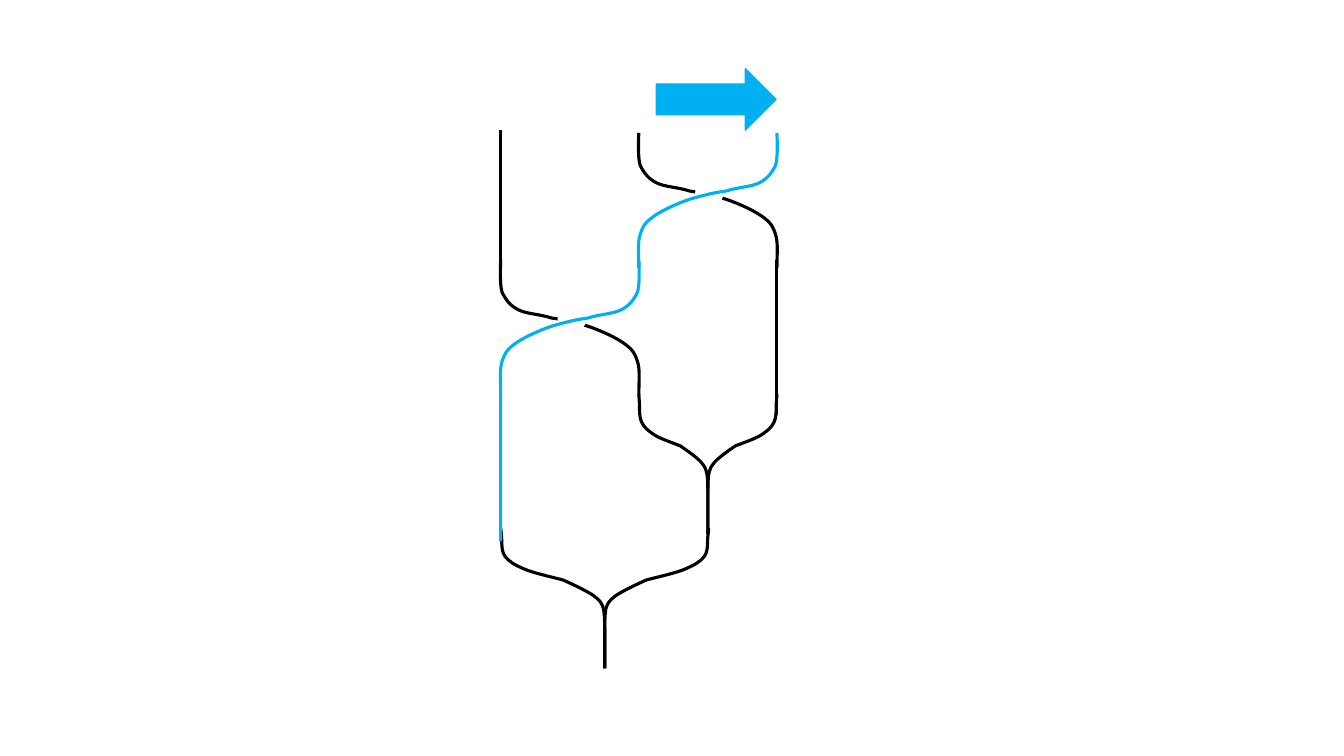
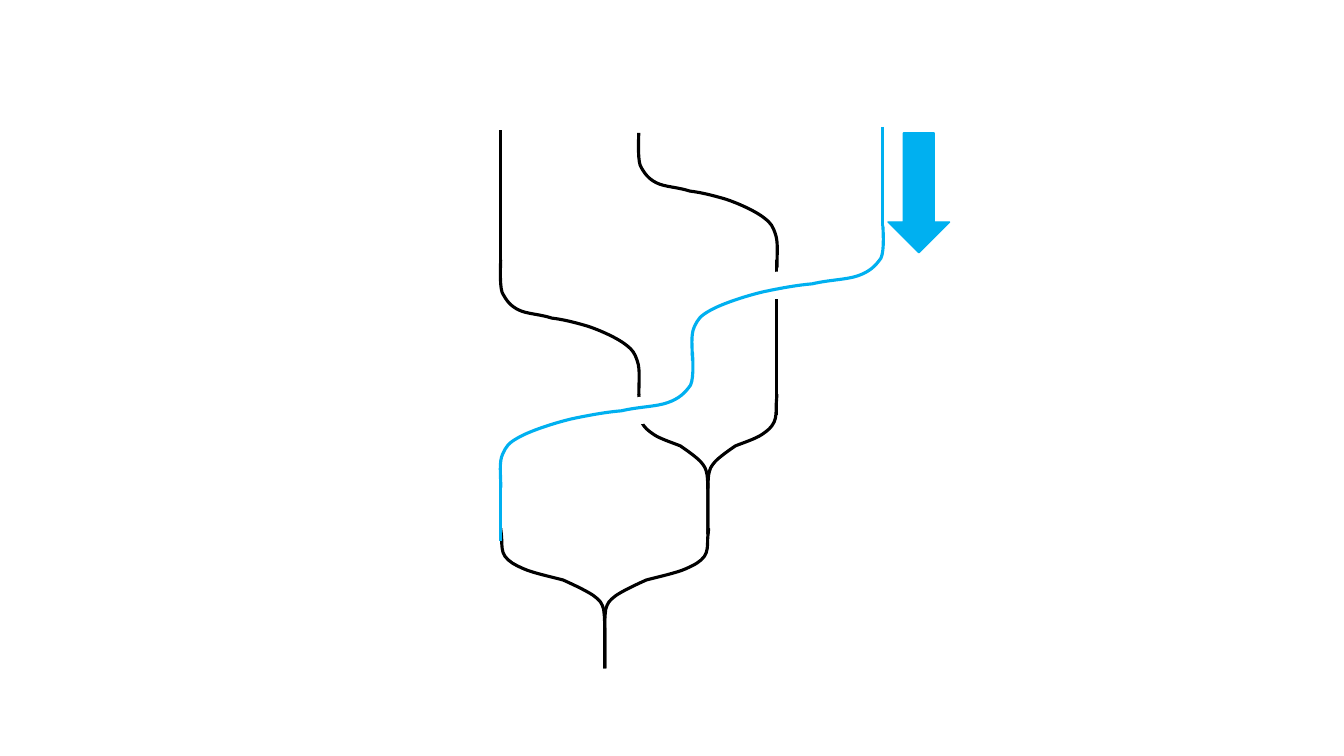
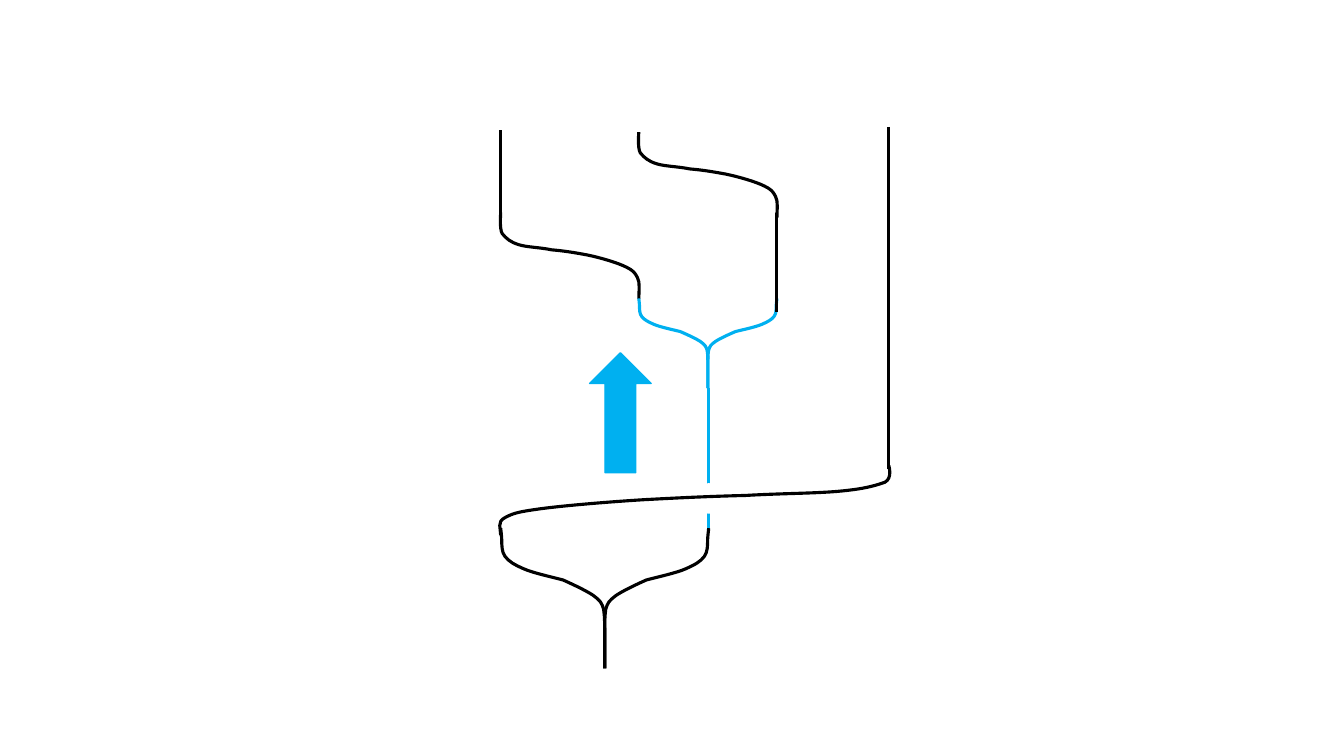
from pptx import Presentation
from pptx.dml.color import RGBColor
from pptx.enum.shapes import MSO_CONNECTOR as Connector, MSO_SHAPE as Preset
from pptx.oxml.ns import qn
from pptx.oxml.xmlchemy import OxmlElement
from pptx.util import Cm, Pt

BLACK, BLUE, WHITE = "000000", "00B0F0", "FFFFFF"
STRAND_WIDTH = 2.25

# Columns and rows shared by the diagrams, in cm
LEFT, MIDDLE, RIGHT = 12.62, 16.1, 19.58
ROOT, INNER = 15.24, 17.86
TOP, FORK_TOP, FORK_BOTTOM = 3.28, 13.31, 16.84

# Unit curves from (0, 0) to (1, 1): a start, then two controls and an end per step
CROSSING = [
    (0, 0),
    (0, .01), (-.01, .18), (.01, .24),
    (.04, .30), (.07, .34), (.13, .37),
    (.19, .40), (.28, .40), (.37, .43),
    (.45, .44), (.53, .46), (.63, .49),
    (.72, .52), (.85, .58), (.91, .63),
    (.96, .67), (.97, .69), (.99, .75),
    (1.01, .81), (1, .90), (1, 1),
]
BRANCH = [
    (0, 0),
    (0, .01), (.01, .06), (.01, .09),
    (.01, .12), (.01, .17), (.04, .20),
    (.08, .24), (.13, .26), (.22, .29),
    (.31, .32), (.50, .35), (.60, .37),
    (.72, .41), (.83, .45), (.89, .48),
    (.96, .52), (.97, .53), (.99, .58),
    (1, .63), (1, .68), (1, .78),
    (1, .89), (1, .99), (1, 1),
]


def rgb(color):
    return RGBColor.from_string(color)


def set_line(shape, color, width=STRAND_WIDTH):
    shape.line.color.rgb = rgb(color)
    shape.line.width = Pt(width)


def add_curve(slide, profile, start, end, color=BLACK):
    """Stretch a unit curve between two points."""
    (left, top), (right, bottom) = start, end
    points = [(Cm(left + x * (right - left)), Cm(top + y * (bottom - top)))
              for x, y in profile]
    builder = slide.shapes.build_freeform(*points[0])
    builder.add_line_segments(points[1:], close=False)
    shape = builder.convert_to_shape()
    shape.shadow.inherit = False
    shape.fill.background()
    set_line(shape, color)

    # Join every three straight segments into one Bezier segment
    outline = shape.element.xpath(".//a:path")[0]
    segments = outline.findall(qn("a:lnTo"))
    for first in range(0, len(segments), 3):
        bezier = OxmlElement("a:cubicBezTo")
        for segment in segments[first:first + 3]:
            bezier.append(segment[0])
            outline.remove(segment)
        outline.append(bezier)


def add_fork(slide, left, right, top, bottom, color=BLACK):
    """Two mirrored branches that meet halfway."""
    center = (left + right) / 2
    for side in (left, right):
        add_curve(slide, BRANCH, (side, top), (center, bottom), color)


def add_vertical(slide, x, top, bottom, color=BLACK):
    connector = slide.shapes.add_connector(
        Connector.STRAIGHT, Cm(x), Cm(top), Cm(x), Cm(bottom))
    set_line(connector, color)
    connector.element.spPr.append(OxmlElement("a:effectLst"))


def add_filled(slide, preset, left, top, width, height, color, line_width):
    shape = slide.shapes.add_shape(
        preset, Cm(left), Cm(top), Cm(width), Cm(height))
    shape.shadow.inherit = False
    shape.fill.solid()
    shape.fill.fore_color.rgb = rgb(color)
    set_line(shape, color, line_width)


def add_gap(slide, x, y, width=.64, height=.61):
    """White spot that breaks the strand passing underneath."""
    add_filled(slide, Preset.OVAL, x - width / 2, y - height / 2,
               width, height, WHITE, STRAND_WIDTH)


def add_arrow(slide, preset, left, top):
    length, breadth = 3.02, 1.55
    size = (length, breadth) if preset == Preset.RIGHT_ARROW else (breadth, length)
    add_filled(slide, preset, left, top, *size, BLUE, 1)


def add_root_fork(slide):
    add_fork(slide, LEFT, INNER, FORK_TOP, FORK_BOTTOM)


def add_black_strands(slide):
    """Tree and falling strands of the first two steps."""
    add_curve(slide, CROSSING, (LEFT, 6.55), (MIDDLE, 9.96))
    add_curve(slide, CROSSING, (MIDDLE, 3.35), (RIGHT, 6.76))
    add_vertical(slide, LEFT, TOP, 6.55)
    add_root_fork(slide)
    add_fork(slide, MIDDLE, RIGHT, 9.93, 13.46)
    add_vertical(slide, RIGHT, 6.55, 10.46)


def build_narrow_crossings(slide):
    add_arrow(slide, Preset.RIGHT_ARROW, 16.54, 1.73)
    add_black_strands(slide)
    add_gap(slide, 14.41, 8.05)
    add_gap(slide, 17.88, 4.85)
    add_vertical(slide, LEFT, 9.7, 13.64, BLUE)
    add_curve(slide, CROSSING, (MIDDLE, 6.55), (LEFT, 9.96), BLUE)
    add_curve(slide, CROSSING, (RIGHT, 3.35), (MIDDLE, 6.76), BLUE)


def build_wide_crossings(slide):
    outer, turn = 22.25, 17.45
    add_black_strands(slide)
    add_gap(slide, 16.17, 10.34)
    add_gap(slide, 19.6, 7.19, width=.89)
    add_vertical(slide, LEFT, 12.19, 13.64, BLUE)
    add_curve(slide, CROSSING, (turn, 8.89), (LEFT, 12.29), BLUE)
    add_curve(slide, CROSSING, (outer, 5.69), (turn, 9.09), BLUE)
    add_vertical(slide, outer, 3.2, 5.69, BLUE)
    add_arrow(slide, Preset.DOWN_ARROW, 22.38, 3.35)


def build_single_crossing(slide):
    outer = 22.4
    add_vertical(slide, INNER, 9.78, FORK_TOP, BLUE)
    add_root_fork(slide)
    add_curve(slide, CROSSING, (LEFT, 5.36), (MIDDLE, 7.54))
    add_curve(slide, CROSSING, (MIDDLE, 3.33), (RIGHT, 5.49))
    add_vertical(slide, LEFT, TOP, 5.36)
    add_fork(slide, MIDDLE, RIGHT, 7.52, 9.78, BLUE)
    add_vertical(slide, RIGHT, 5.36, 7.87)
    add_gap(slide, INNER, 12.56, height=.69)
    add_curve(slide, CROSSING, (outer, 11.73), (LEFT, 13.49))
    add_vertical(slide, outer, 3.2, 11.81)
    add_arrow(slide, Preset.UP_ARROW, 14.86, 8.89)


def main():
    presentation = Presentation()
    presentation.slide_width, presentation.slide_height = Cm(33.87), Cm(19.05)
    blank = presentation.slide_layouts[6]
    for build in (build_narrow_crossings, build_wide_crossings,
                  build_single_crossing):
        build(presentation.slides.add_slide(blank))
    presentation.save("out.pptx")


main()
